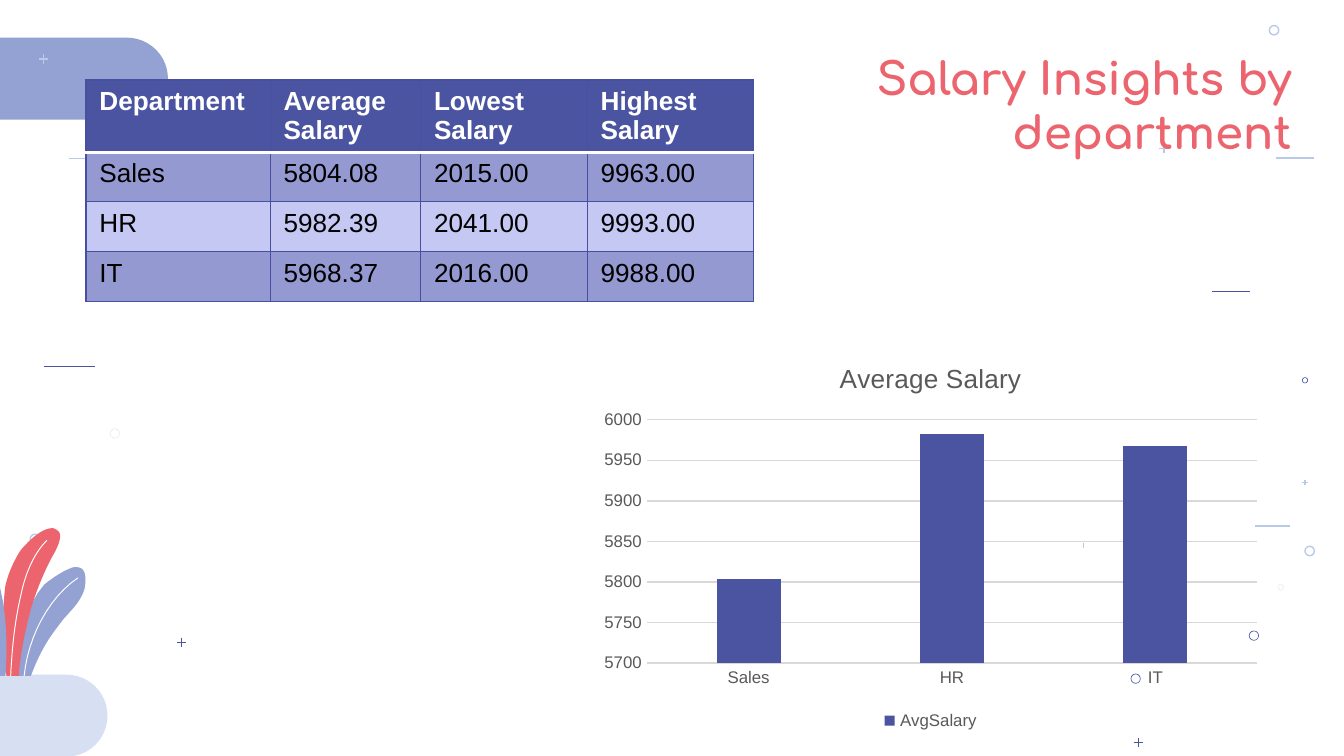
from collections import namedtuple

from lxml.etree import SubElement
from pptx import Presentation
from pptx.chart.data import CategoryChartData
from pptx.dml.color import RGBColor
from pptx.enum.chart import XL_CHART_TYPE, XL_LEGEND_POSITION, XL_TICK_MARK
from pptx.enum.shapes import MSO_CONNECTOR, MSO_SHAPE
from pptx.enum.text import MSO_ANCHOR, MSO_AUTO_SIZE, PP_ALIGN
from pptx.oxml import parse_xml
from pptx.oxml.ns import nsdecls, qn
from pptx.util import Inches, Pt

WIDTH = Inches(10)
HEIGHT = WIDTH * 9 // 16
COLUMNS = 100
CELL = WIDTH / COLUMNS
Box = namedtuple("Box", "left top width height")

INDIGO = RGBColor(0x4B, 0x54, 0xA1)
BORDER = RGBColor(0x47, 0x50, 0xA0)
PERIWINKLE = RGBColor(0x94, 0xA2, 0xD3)
SKY = RGBColor(0xB9, 0xCA, 0xE9)
PALE = RGBColor(0xD7, 0xDF, 0xF2)
MIST = RGBColor(0xE8, 0xEC, 0xF8)
CORAL = RGBColor(0xEC, 0x64, 0x6E)
BAND_DARK = RGBColor(0x95, 0x99, 0xD1)
BAND_LIGHT = RGBColor(0xC5, 0xC8, 0xF2)
WHITE = RGBColor(0xFF, 0xFF, 0xFF)
BLACK = RGBColor(0, 0, 0)
GREY = RGBColor(0x59, 0x59, 0x59)
GRID_GREY = RGBColor(0xD9, 0xD9, 0xD9)

THIN, MEDIUM = 0.33, 0.75
DASHES = [
    (5.1, 11.8, 3.8, 0, SKY, MEDIUM), (90.2, 21.7, 2.8, 0, INDIGO, THIN),
    (3.25, 27.25, 3.8, 0, INDIGO, THIN), (93.4, 39.15, 2.6, 0, SKY, MEDIUM),
    (94.95, 11.75, 2.8, 0, SKY, MEDIUM), (86, 36.5, 1.8, 0, SKY, MEDIUM),
    (80.6, 40.4, 0, 0.4, SKY, THIN),
]
CROSSES = [
    (86.6, 11.05, 0.7, SKY, MEDIUM), (97.1, 35.9, 0.4, SKY, MEDIUM),
    (3.25, 4.4, 0.7, SKY, MEDIUM), (13.5, 47.8, 0.7, INDIGO, THIN),
    (84.7, 55.25, 0.7, INDIGO, THIN),
]
RINGS = [
    (97.1, 28.3, 0.4, INDIGO, THIN), (7.4, 18.9, 0.7, INDIGO, THIN),
    (95.3, 43.7, 0.4, MIST, THIN), (8.55, 32.25, 0.7, MIST, THIN),
    (84.5, 50.5, 0.7, INDIGO, THIN), (93.3, 47.3, 0.7, INDIGO, THIN),
    (97.45, 41, 0.7, SKY, MEDIUM), (2.6, 40.1, 0.7, SKY, MEDIUM),
    (94.8, 2.25, 0.7, SKY, MEDIUM),
]
LEAVES = [
    (PERIWINKLE, (10.1, 3), [
        (10.9, 3, 10.8, 4, 10.7, 4.6), (10.4, 5.6, 9.7, 6.2, 9.1, 6.9),
        (8.1, 8.2, 7.5, 9, 6.7, 11.1), (5.5, 11.1),
        (5.5, 11.1, 5.7, 6.5, 7.7, 4.3), (8.3, 3.8, 9.2, 3.2, 9.9, 3)]),
    (CORAL, (8.3, 0.1), [
        (8.4, 0.1, 8.6, 0.2, 8.7, 0.3), (9.2, 0.6, 8.5, 1.9, 8.3, 2.2),
        (7.6, 3.5, 7.1, 4.8, 6.7, 6.1), (6.3, 7.7, 5.9, 9.4, 5.8, 11.1),
        (4.9, 11.1), (4.4, 10.1, 4.6, 5.8, 4.8, 4.4),
        (5, 3.5, 5.4, 2.6, 5.9, 1.8), (6.3, 1.3, 7.4, 0.1, 8.3, 0.1)]),
    (PERIWINKLE, (1.1, 0), [
        (1.7, 0, 2.9, 1.1, 3.8, 2.9), (4.9, 5, 5, 8.7, 4.8, 11.1),
        (3.5, 11.1), (2.7, 10.2, 0, 3, 0.7, 0.4), (0.8, 0.1, 0.9, 0, 1.1, 0)]),
]
VEINS = [
    ((10.2, 3.8), [(8, 5.3, 6.5, 8.2, 6.2, 11.1)]),
    ((7.9, 1), [(6.9, 2, 6.3, 3.5, 6, 4.9), (5.5, 7, 5.3, 9, 5.2, 11.1)]),
]
HEADINGS = ["Department", "Average Salary", "Lowest Salary", "Highest Salary"]
SALARIES = [
    ("Sales", 5804.08, 2015, 9963),
    ("HR", 5982.39, 2041, 9993),
    ("IT", 5968.37, 2016, 9988),
]


def grid(*cells):
    return [round(cell * CELL) for cell in cells]


def set_font(font, size, color, name="Arial", bold=False):
    font.size, font.name, font.bold = Pt(size), name, bold
    font.color.rgb = color


def write(frame, text, align=PP_ALIGN.LEFT, **style):
    para = frame.paragraphs[0]
    para.alignment = align
    span = para.add_run()
    span.text = text
    set_font(span.font, **style)


def paint(shape, fill=None, line=None, weight=MEDIUM):
    shape.shadow.inherit = False
    if fill is None:
        shape.fill.background()
    else:
        shape.fill.solid()
        shape.fill.fore_color.rgb = fill
    if line is None:
        shape.line.fill.background()
    else:
        shape.line.color.rgb = line
        shape.line.width = Pt(weight)


def add_pill(page, box, color):
    pill = page.shapes.add_shape(MSO_SHAPE.ROUNDED_RECTANGLE, *grid(*box))
    pill.adjustments[0] = 0.5
    paint(pill, fill=color)


def add_line(page, start, end, color, weight):
    line = page.shapes.add_connector(MSO_CONNECTOR.STRAIGHT, *grid(*start, *end))
    line.line.color.rgb = color
    line.line.width = Pt(weight)
    SubElement(line.element.spPr, qn("a:effectLst"))


def add_confetti(page, box):
    for x, y, across, down, color, weight in DASHES:
        x, y = box.left + x, box.top + y
        add_line(page, (x, y), (x + across, y + down), color, weight)
    for x, y, size, color, weight in CROSSES:
        x, y, half = box.left + x, box.top + y, size / 2
        add_line(page, (x, y - half), (x, y + half), color, weight)
        add_line(page, (x - half, y), (x + half, y), color, weight)
    for x, y, size, color, weight in RINGS:
        corner = box.left + x - size / 2, box.top + y - size / 2
        ring = page.shapes.add_shape(MSO_SHAPE.OVAL, *grid(*corner, size, size))
        paint(ring, line=color, weight=weight)


def trace(start, segments, steps=12):
    points = [start]
    for segment in segments:
        if len(segment) == 2:
            points.append(segment)
            continue
        knots = [points[-1], segment[:2], segment[2:4], segment[4:]]
        for step in range(1, steps + 1):
            t = step / steps
            shares = [(1 - t) ** 3, 3 * t * (1 - t) ** 2, 3 * t * t * (1 - t), t ** 3]
            points.append(tuple(sum(share * knot[axis] for share, knot in zip(shares, knots))
                                for axis in (0, 1)))
    return points


def add_outline(page, box, start, segments, close):
    points = [grid(box.left + x, box.top + y) for x, y in trace(start, segments)]
    builder = page.shapes.build_freeform(*points[0])
    builder.add_line_segments(points[1:], close=close)
    return builder.convert_to_shape()


def add_plant(page, box):
    for color, start, segments in LEAVES:
        paint(add_outline(page, box, start, segments, True), fill=color)
    for start, segments in VEINS:
        paint(add_outline(page, box, start, segments, False), line=WHITE, weight=0.52)


def add_title(page, box):
    title = page.shapes.title
    page.shapes.element.append(title.element)
    title.left, title.top, title.width, title.height = grid(*box)
    frame = title.text_frame
    frame.word_wrap, frame.auto_size = True, MSO_AUTO_SIZE.NONE
    frame.vertical_anchor = MSO_ANCHOR.TOP
    frame.margin_left = frame.margin_right = frame.margin_top = frame.margin_bottom = Inches(0.1)
    write(frame, "Salary Insights by department", align=PP_ALIGN.RIGHT,
          size=24, color=CORAL, name="Comfortaa", bold=True)


def set_border(cell, side, color, weight):
    cell._tc.get_or_add_tcPr().append(parse_xml(
        f'<a:{side} {nsdecls("a")} w="{Pt(weight)}"><a:solidFill>'
        f'<a:srgbClr val="{color}"/></a:solidFill></a:{side}>'))


def add_salary_table(page, box):
    rows = [HEADINGS] + [(name, *(f"{value:.2f}" for value in values))
                         for name, *values in SALARIES]
    table = page.shapes.add_table(len(rows), len(HEADINGS), *grid(*box)).table
    for column, width in zip(table.columns, grid(13.7, 11.2, 12.4, 12.4)):
        column.width = width
    for row, height in zip(table.rows, grid(5.1, 3.7, 3.7, 3.7)):
        row.height = height
    rule, edge = (WHITE, 2), (BORDER, MEDIUM)
    for index, row in enumerate(rows):
        header = index == 0
        fill = INDIGO if header else BAND_DARK if index % 2 else BAND_LIGHT
        for column, text in enumerate(row):
            cell = table.cell(index, column)
            for side in ("lnL", "lnR"):
                set_border(cell, side, *edge)
            set_border(cell, "lnT", *(rule if index == 1 else edge))
            set_border(cell, "lnB", *(rule if header else edge))
            cell.fill.solid()
            cell.fill.fore_color.rgb = fill
            write(cell.text_frame, text, size=14, bold=header,
                  color=WHITE if header else BLACK)


def add_salary_chart(page, box):
    data = CategoryChartData()
    data.categories = [row[0] for row in SALARIES]
    data.add_series("AvgSalary", [round(row[1]) for row in SALARIES])
    chart = page.shapes.add_chart(XL_CHART_TYPE.COLUMN_CLUSTERED, *grid(*box), data).chart
    set_font(chart.font, 10, BLACK)
    chart.element.find(qn("c:chart")).addnext(parse_xml(
        f'<c:spPr {nsdecls("c", "a")}><a:noFill/><a:ln><a:noFill/></a:ln></c:spPr>'))
    chart.has_title = True
    write(chart.chart_title.text_frame, "Average Salary", align=PP_ALIGN.CENTER,
          size=14, color=GREY)
    chart.has_legend = True
    chart.legend.position = XL_LEGEND_POSITION.BOTTOM
    chart.legend.include_in_layout = False
    set_font(chart.legend.font, 9, GREY)
    for axis in (chart.category_axis, chart.value_axis):
        axis.major_tick_mark = axis.minor_tick_mark = XL_TICK_MARK.NONE
        set_font(axis.tick_labels.font, 9, GREY)
    values = chart.value_axis
    values.minimum_scale, values.maximum_scale, values.major_unit = 5700, 6000, 50
    values.format.line.fill.background()
    for line in (values.major_gridlines.format.line, chart.category_axis.format.line):
        line.color.rgb = GRID_GREY
        line.width = Pt(MEDIUM)
    plot = chart.plots[0]
    plot.vary_by_categories, plot.gap_width = False, 219
    bars = plot.series[0].format.fill
    bars.solid()
    bars.fore_color.rgb = INDIGO


def main():
    deck = Presentation()
    deck.slide_width, deck.slide_height = WIDTH, HEIGHT
    page = deck.slides.add_slide(deck.slide_layouts[5])
    add_pill(page, Box(-8.2, 2.8, 20.7, 6.1), PERIWINKLE)
    add_pill(page, Box(-12.7, 50.2, 20.7, 6.1), PALE)
    add_confetti(page, Box(0, 0, COLUMNS, HEIGHT / CELL))
    add_plant(page, Box(-4.4, 39.2, 10.9, 11.1))
    add_title(page, Box(57.8, 2.8, 39.3, 6.3))
    add_salary_table(page, Box(6.4, 5.95, 49.7, 16.2))
    add_salary_chart(page, Box(43.95, 25.45, 50.6, 29.3))
    deck.save("out.pptx")


if __name__ == "__main__":
    main()
